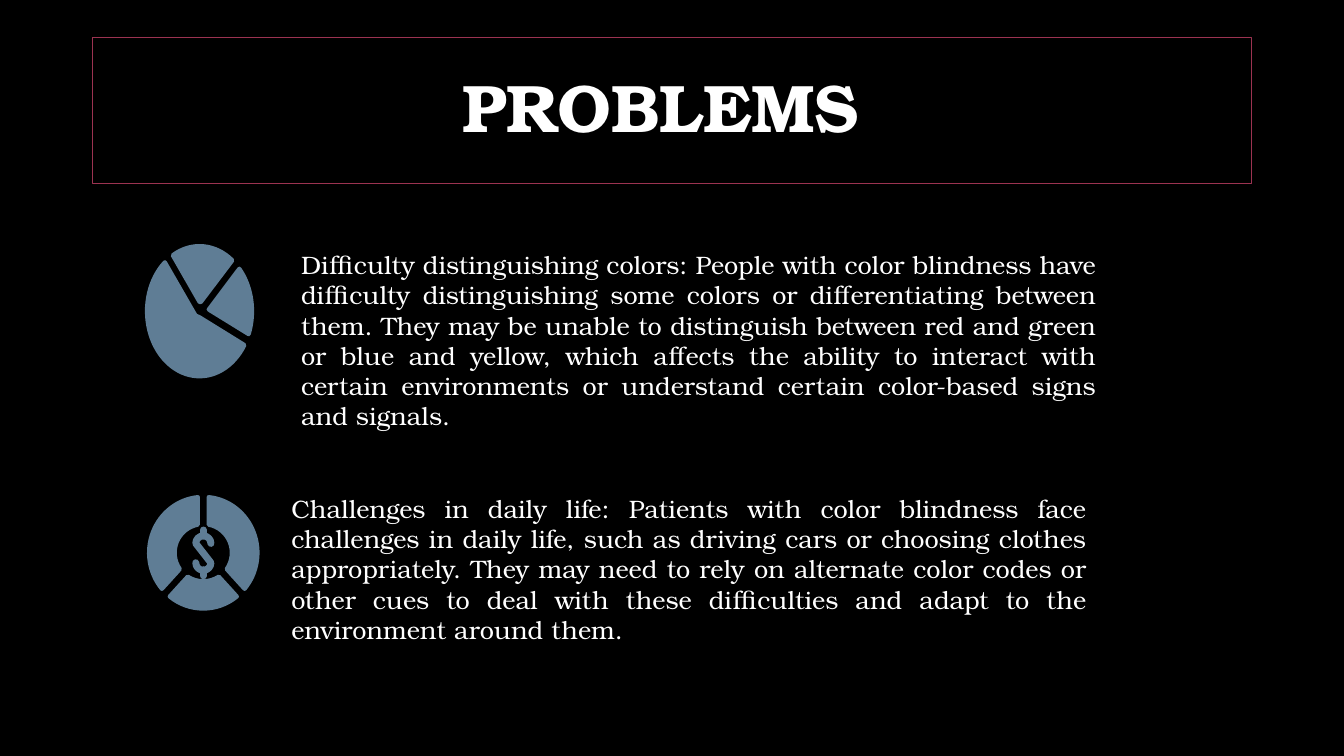
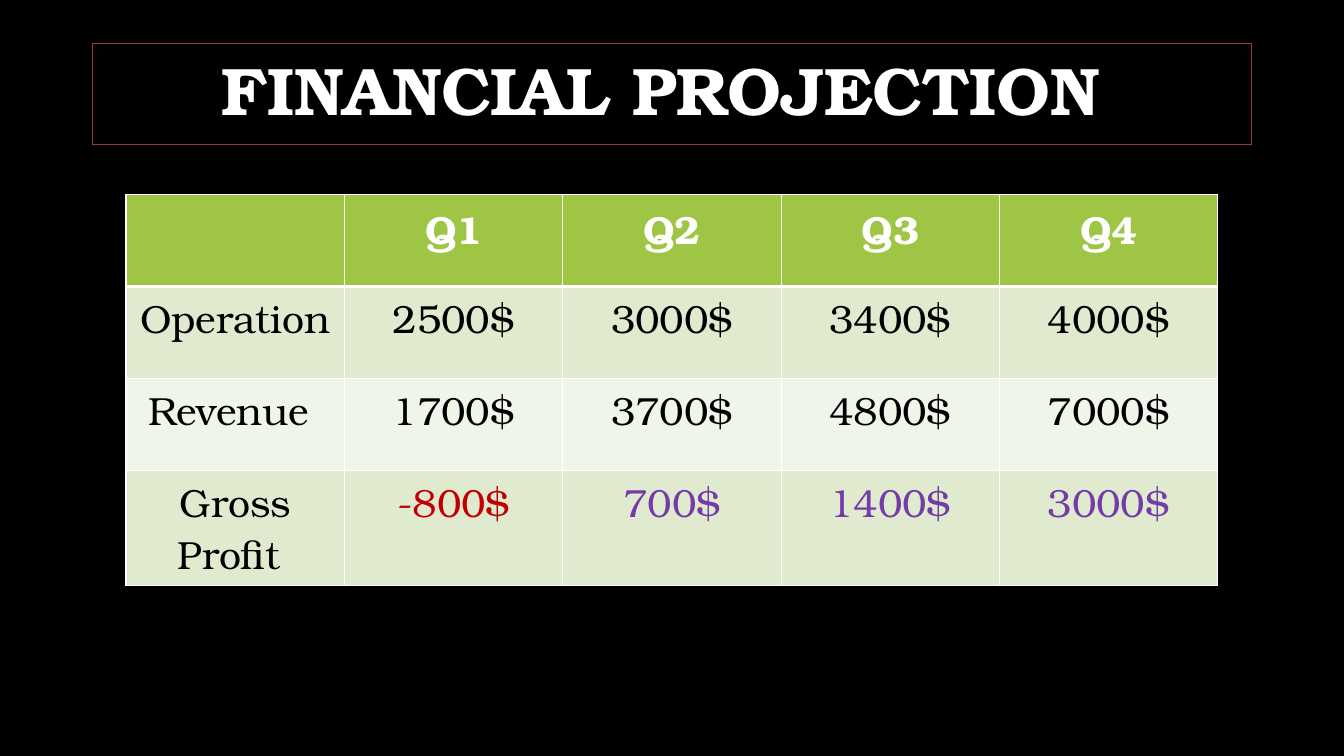
from math import asin, ceil, cos, pi, radians, sin, tan

from lxml.etree import SubElement
from pptx import Presentation
from pptx.dml.color import RGBColor
from pptx.enum.shapes import MSO_SHAPE
from pptx.enum.text import MSO_ANCHOR, PP_ALIGN
from pptx.oxml import parse_xml
from pptx.oxml.ns import nsdecls, qn
from pptx.util import Inches, Pt

BLACK = RGBColor(0x00, 0x00, 0x00)
WHITE = RGBColor(0xFF, 0xFF, 0xFF)
FRAME = RGBColor(0x9C, 0x33, 0x51)
STEEL = RGBColor(0x5F, 0x7D, 0x95)
GREEN = RGBColor(0x9E, 0xC5, 0x44)
PALE = RGBColor(0xDF, 0xEA, 0xCF)
PALER = RGBColor(0xF0, 0xF5, 0xE9)
LOSS = RGBColor(0xC0, 0x00, 0x00)
PROFIT = RGBColor(0x74, 0x3B, 0xA9)
FONT = "TeX Gyre Bonum"

deck = Presentation()
deck.slide_width = Inches(13.33)
deck.slide_height = Inches(7.5)
UNIT = deck.slide_height / 90


def write(frame, text, size, color, align, bold=False):
    paragraph = frame.paragraphs[0]
    paragraph.alignment = align
    run = paragraph.add_run()
    run.text = text
    run.font.name = FONT
    run.font.size = Pt(size)
    run.font.bold = bold
    run.font.color.rgb = color
    return paragraph


def trace(slide, strokes, width, closed):
    builder = None
    for arcs in strokes:
        curve = []
        for cx, cy, rx, ry, first, last in arcs:
            pieces = ceil(abs(last - first) / (pi / 2))
            sweep = (last - first) / pieces
            pull = 4 / 3 * tan(sweep / 4)
            angles = [first + sweep * piece for piece in range(pieces + 1)]
            knots = [(cx + rx * cos(a), cy + ry * sin(a)) for a in angles]
            pulls = [(-pull * rx * sin(a), pull * ry * cos(a)) for a in angles]
            if curve:
                (x0, y0), (x1, y1) = curve[-1], knots[0]
                curve += [(x0 + (x1 - x0) * n / 3, y0 + (y1 - y0) * n / 3) for n in (1, 2, 3)]
            else:
                curve.append(knots[0])
            for n in range(pieces):
                curve += [
                    (knots[n][0] + pulls[n][0], knots[n][1] + pulls[n][1]),
                    (knots[n + 1][0] - pulls[n + 1][0], knots[n + 1][1] - pulls[n + 1][1]),
                    knots[n + 1],
                ]
        corners = [(round(x * UNIT), round(y * UNIT)) for x, y in curve]
        if builder is None:
            builder = slide.shapes.build_freeform(*corners[0])
        else:
            builder.move_to(*corners[0])
        builder.add_line_segments(corners[1:], close=closed)
    outline = builder.convert_to_shape()
    steps = list(outline._element.iter(qn("a:lnTo")))
    for bend, *others in zip(steps[::3], steps[1::3], steps[2::3]):
        bend.tag = qn("a:cubicBezTo")
        for other in others:
            bend.append(other[0])
            other.getparent().remove(other)
    outline.shadow.inherit = False
    if closed:
        outline.fill.solid()
        outline.fill.fore_color.rgb = STEEL
    else:
        outline.fill.background()
    outline.line.color.rgb = STEEL
    outline.line.width = Pt(width)
    pen = outline.line._get_or_add_ln()
    pen.set("cap", "rnd")
    SubElement(pen, qn("a:round"))


slides = []
for heading, top, height in [
    ("PROBLEMS ", 4.46, 17.4),
    ("FINANCIAL PROJECTION ", 5.15, 12.1),
]:
    slide = deck.slides.add_slide(deck.slide_layouts[6])
    slide.background.fill.solid()
    slide.background.fill.fore_color.rgb = BLACK
    title = slide.shapes.add_shape(
        MSO_SHAPE.RECTANGLE, *(round(n * UNIT) for n in (11, top, 138, height))
    )
    title.shadow.inherit = False
    title.fill.background()
    title.line.color.rgb = FRAME
    title.line.width = Pt(0.75)
    title.text_frame.word_wrap = True
    title.text_frame.vertical_anchor = MSO_ANCHOR.MIDDLE
    write(title.text_frame, heading, 48, WHITE, PP_ALIGN.CENTER, True).line_spacing = 0.9
    slides.append(slide)
problems, projection = slides

for left, top, height, inset, problem in [
    (34.65, 29.1, 23, 0.6, "Difficulty distinguishing colors: People with color blindness "
     "have difficulty distinguishing some colors or differentiating between them. They may "
     "be unable to distinguish between red and green or blue and yellow, which affects the "
     "ability to interact with certain environments or understand certain color-based "
     "signs and signals."),
    (33.5, 50.15, 27.5, 8.55, "Challenges in daily life: Patients with color blindness face "
     "challenges in daily life, such as driving cars or choosing clothes appropriately. "
     "They may need to rely on alternate color codes or other cues to deal with these "
     "difficulties and adapt to the environment around them."),
]:
    body = problems.shapes.add_textbox(*(round(n * UNIT) for n in (left, top, 97, height)))
    body.text_frame.word_wrap = True
    body.text_frame.margin_top = round(inset * UNIT)
    write(body.text_frame, problem, 18, WHITE, PP_ALIGN.JUSTIFY)

HALF_GAP = 0.65
PIE = (23.75, 37.05, 6.25, 7.75)
RING = (24.2, 65.8, 6.45, 6.65)
for (cx, cy, rx, ry), hole, start, end in [
    (PIE, 0.7, 26, 234),
    (PIE, 1.1, 234, 314),
    (PIE, 1.1, 314, 386),
    (RING, 3.4, 46, 134),
    (RING, 3.4, 134, 270),
    (RING, 3.4, 270, 406),
]:
    rim = asin(HALF_GAP * 2 / (rx + ry))
    core = asin(HALF_GAP / hole)
    sector = [
        (cx, cy, rx, ry, radians(start) + rim, radians(end) - rim),
        (cx, cy, hole, hole, radians(end) - core, radians(start) + core),
    ]
    trace(problems, [sector], 3, True)

dollar_x, bowl = RING[0], 0.9
dollar = [
    (dollar_x, 64.7, bowl, bowl, 0, -pi),
    (dollar_x, 67, bowl, bowl, 0, pi),
]
dollar[1] = (dollar_x, 67, bowl, bowl, 0, pi)
stems = [
    [(dollar_x, middle, 0, 0.35, -pi / 2, pi / 2)] for middle in (63.45, 68.2)
]
trace(problems, [dollar, *stems], 5, False)

quarters = [
    ["", "Q1", "Q2", "Q3", "Q4"],
    ["Operation ", "2500$", "3000$", "3400$", "4000$"],
    ["Revenue ", "1700$", "3700$", "4800$", "7000$"],
    ["Gross Profit ", "-800$", "700$", "1400$", "3000$"],
]
row_fills = [GREEN, PALE, PALER, PALE]
row_heights = [10.95, 10.95, 10.95, 13.7]
finances = projection.shapes.add_table(
    4, 5, *(round(n * UNIT) for n in (15, 23.16, 130, sum(row_heights)))
).table
for column in finances.columns:
    column.width = round(25.99 * UNIT)
for row, figures in enumerate(quarters):
    finances.rows[row].height = round(row_heights[row] * UNIT)
    for column, figure in enumerate(figures):
        cell = finances.cell(row, column)
        cell.fill.solid()
        cell.fill.fore_color.rgb = row_fills[row]
        color = WHITE if row == 0 else BLACK
        if row == 3 and column:
            color = LOSS if figure.startswith("-") else PROFIT
        if figure:
            write(cell.text_frame, figure, 28, color, PP_ALIGN.CENTER, row == 0)
        for index, side in enumerate("LRTB"):
            thickness = 3 if (row, side) in [(0, "B"), (1, "T")] else 1
            border = parse_xml(
                f'<a:ln{side} {nsdecls("a")} w="{Pt(thickness)}"><a:solidFill>'
                f'<a:srgbClr val="{WHITE}"/></a:solidFill></a:ln{side}>'
            )
            cell._tc.get_or_add_tcPr().insert(index, border)

deck.save("out.pptx")
